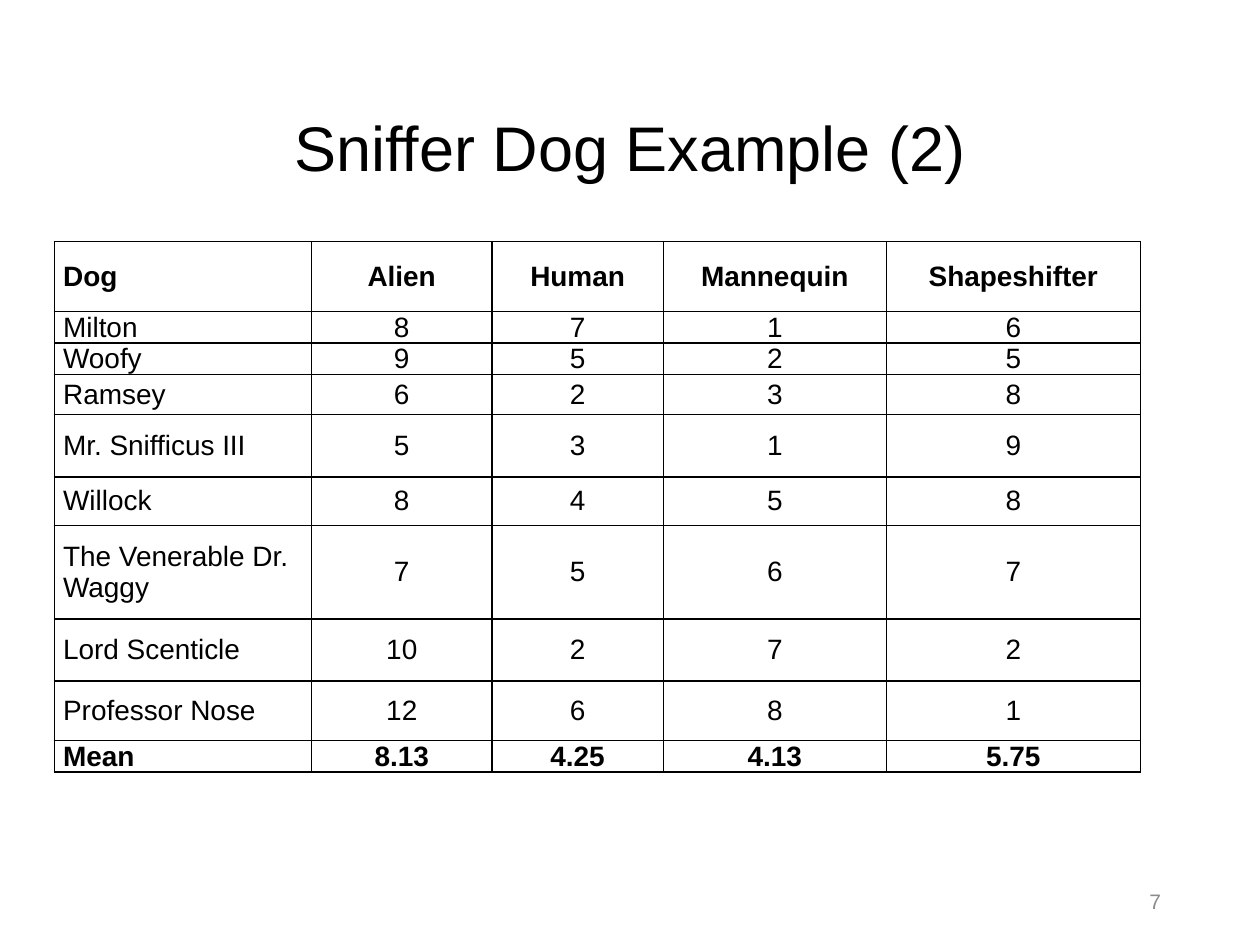
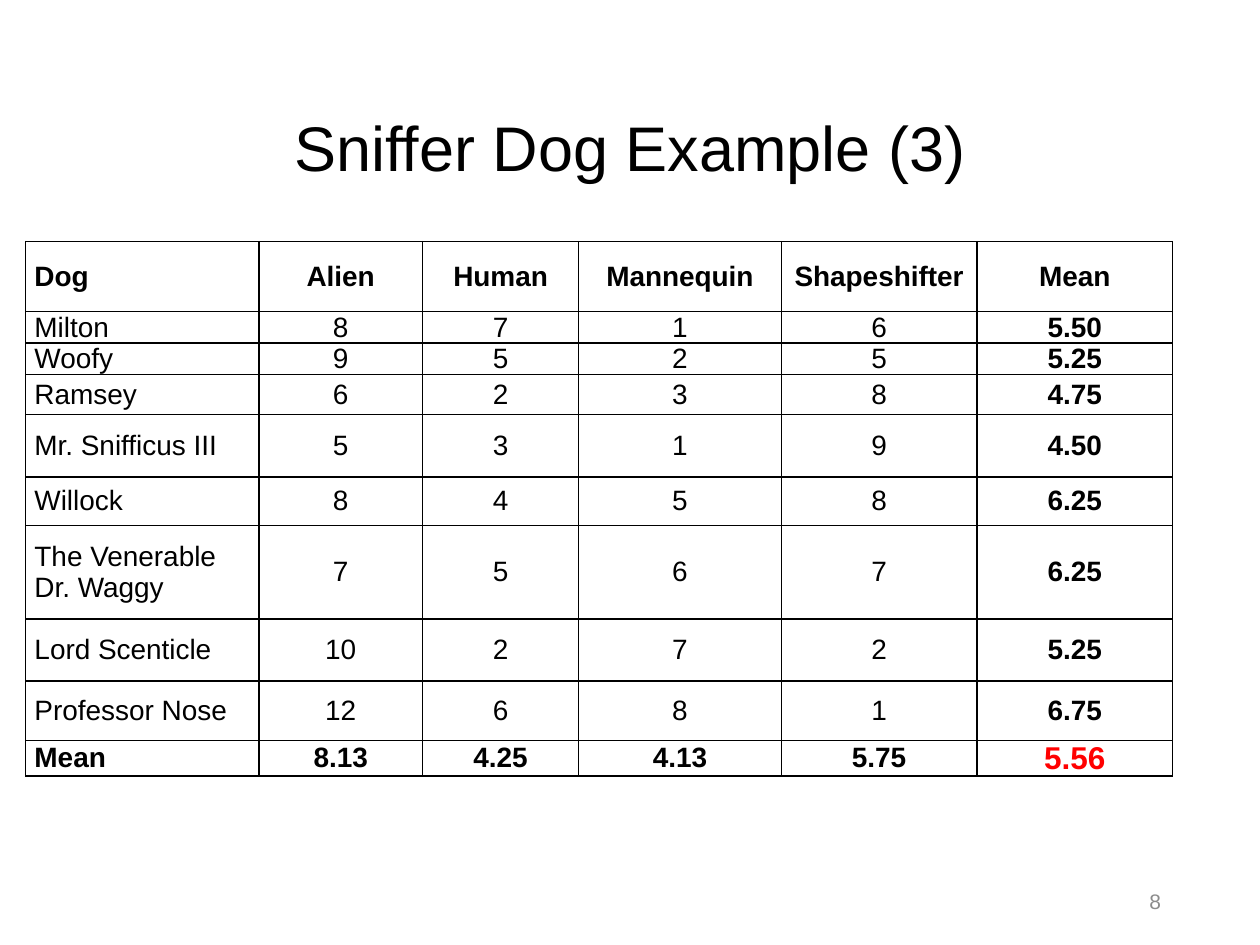
from lxml import etree
from pptx import Presentation
from pptx.dml.color import RGBColor
from pptx.enum.text import MSO_ANCHOR, MSO_AUTO_SIZE, PP_ALIGN
from pptx.oxml.ns import qn
from pptx.util import Pt

LEFT, CENTER, RIGHT = PP_ALIGN.LEFT, PP_ALIGN.CENTER, PP_ALIGN.RIGHT
MIDDLE = MSO_ANCHOR.MIDDLE
NO_FIT = MSO_AUTO_SIZE.NONE
TITLE_ONLY = 5
FONT = "Arial"
COLORS = {"text": "000000", "line": "000000", "page": "8C8C8C", "grand": "FF0000"}
TABLE_TOP = 138.1
HEIGHTS = [40, 18, 18, 22.8, 35.6, 27.9, 53.3, 35.6, 34, 18]
SCORES = [
    ["Dog", "Alien", "Human", "Mannequin", "Shapeshifter", "Mean"],
    ["Milton", "8", "7", "1", "6", "5.50"],
    ["Woofy", "9", "5", "2", "5", "5.25"],
    ["Ramsey", "6", "2", "3", "8", "4.75"],
    ["Mr. Snifficus III", "5", "3", "1", "9", "4.50"],
    ["Willock", "8", "4", "5", "8", "6.25"],
    ["The Venerable Dr. Waggy", "7", "5", "6", "7", "6.25"],
    ["Lord Scenticle", "10", "2", "7", "2", "5.25"],
    ["Professor Nose", "12", "6", "8", "1", "6.75"],
    ["Mean", "8.13", "4.25", "4.13", "5.75", "5.56"],
]
SLIDES = [
    ("Sniffer Dog Example (2)", "7", 31.1, [147, 103, 98, 127.4, 145.2]),
    ("Sniffer Dog Example (3)", "8", 14.7, [133.2, 93.6, 89.2, 115.8, 111.8, 111.8]),
]


def write(frame, text, size, align, color="text", bold=False):
    para = frame.paragraphs[0]
    para.alignment = align
    run = para.add_run()
    run.text = text
    font = run.font
    font.name, font.size, font.bold = FONT, Pt(size), bold
    font.color.rgb = RGBColor.from_string(COLORS[color])
    return para


def add_title(slide, text):
    title = slide.shapes.title
    title.left, title.top, title.width, title.height = Pt(49.5), Pt(34), Pt(621), Pt(104.4)
    frame = title.text_frame
    frame.auto_size = NO_FIT
    frame.vertical_anchor = MIDDLE
    write(frame, text, 36, CENTER).line_spacing = 0.9


def add_page(slide, text):
    box = slide.shapes.add_textbox(Pt(508.5), Pt(500.5), Pt(162), Pt(28.8))
    frame = box.text_frame
    frame.word_wrap = True
    frame.vertical_anchor = MIDDLE
    write(frame, text, 12, RIGHT, "page")


def frame_cell(cell):
    props = cell._tc.get_or_add_tcPr()
    for side in ("a:lnL", "a:lnR", "a:lnT", "a:lnB"):
        line = etree.SubElement(props, qn(side), w=str(Pt(1)))
        fill = etree.SubElement(line, qn("a:solidFill"))
        etree.SubElement(fill, qn("a:srgbClr"), val=COLORS["line"])


def fill_cell(cell, text, align, grand, bold):
    cell.vertical_anchor = MIDDLE
    cell.margin_left = cell.margin_right = Pt(5)
    cell.margin_top = cell.margin_bottom = 0
    frame_cell(cell)
    cell.fill.background()
    size, color = (18, "grand") if grand else (16, "text")
    write(cell.text_frame, text, size, align, color, bold)


def add_scores(slide, left, widths):
    count, last = len(widths), len(SCORES) - 1
    shape = slide.shapes.add_table(
        len(SCORES), count, Pt(left), Pt(TABLE_TOP), Pt(sum(widths)), Pt(sum(HEIGHTS)))
    table = shape.table
    table.first_row = table.horz_banding = False
    for col, width in zip(table.columns, widths):
        col.width = Pt(width)
    for row, height in zip(table.rows, HEIGHTS):
        row.height = Pt(height)
    for r, row in enumerate(SCORES):
        for c, text in enumerate(row[:count]):
            mean = c == len(row) - 1
            fill_cell(table.cell(r, c), text, CENTER if c else LEFT,
                      mean and r == last, mean or r in (0, last))


def main():
    deck = Presentation()
    deck.slide_width, deck.slide_height = Pt(720), Pt(540)
    for title, page, left, widths in SLIDES:
        slide = deck.slides.add_slide(deck.slide_layouts[TITLE_ONLY])
        add_title(slide, title)
        add_scores(slide, left, widths)
        add_page(slide, page)
    deck.save("out.pptx")


if __name__ == "__main__":
    main()
